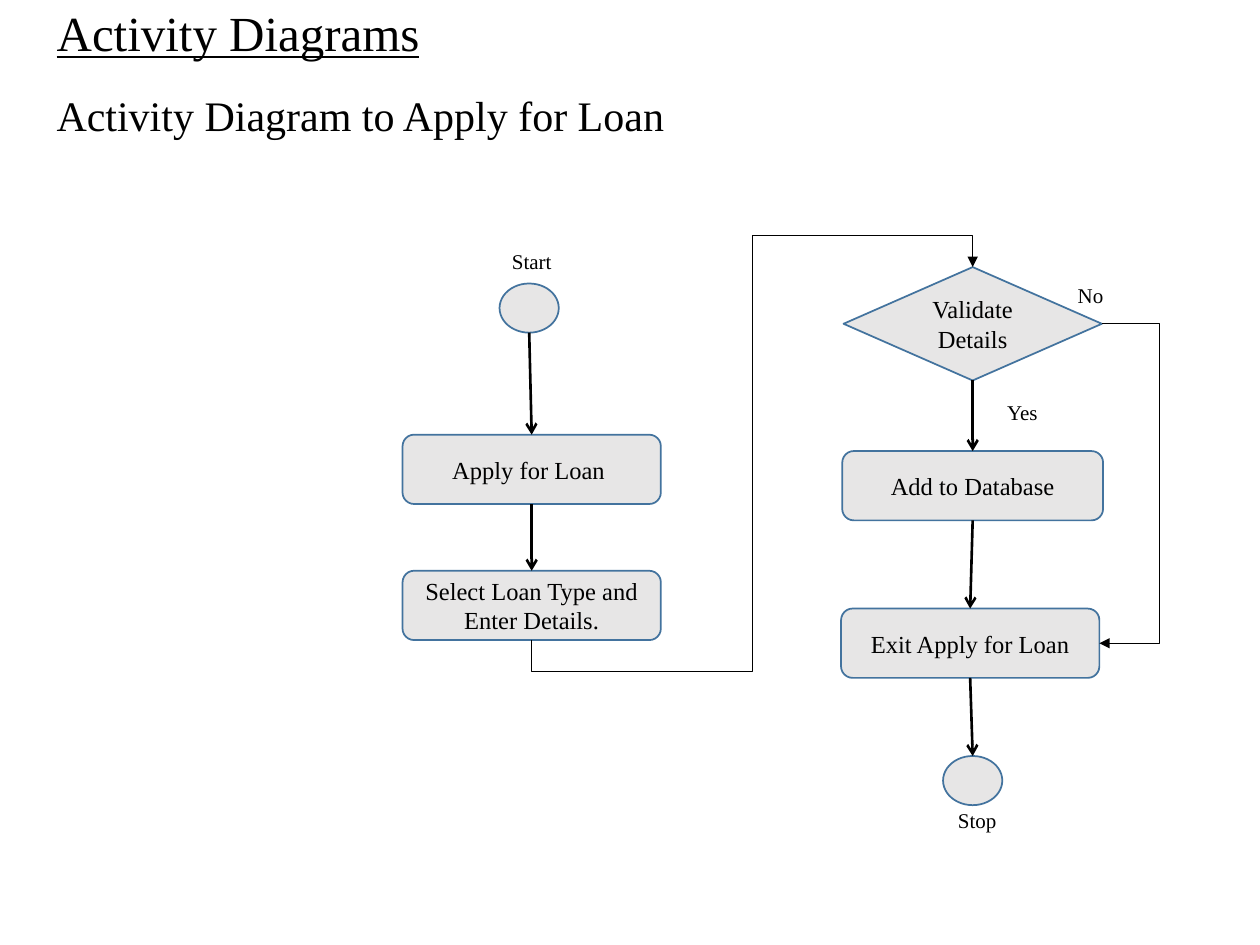
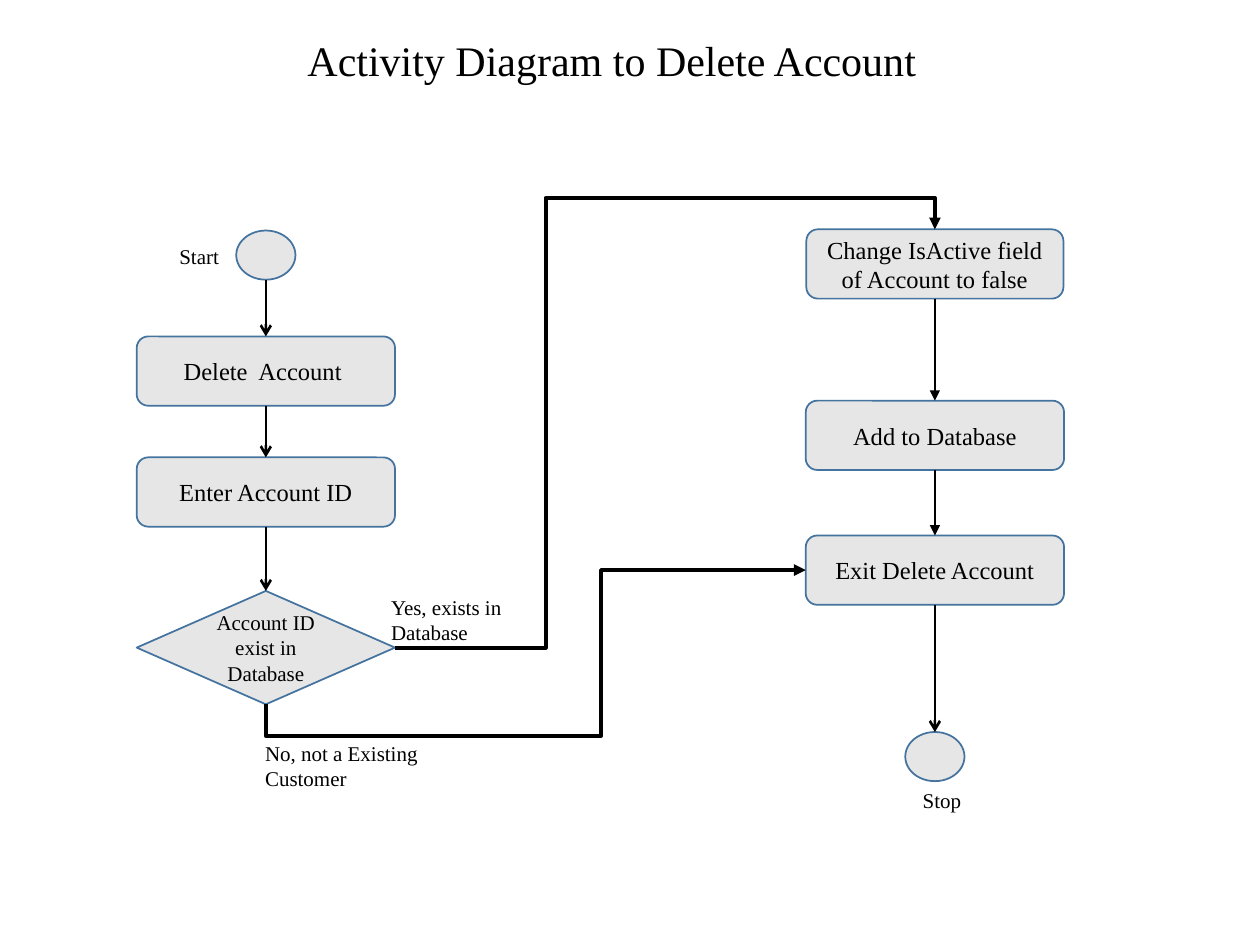
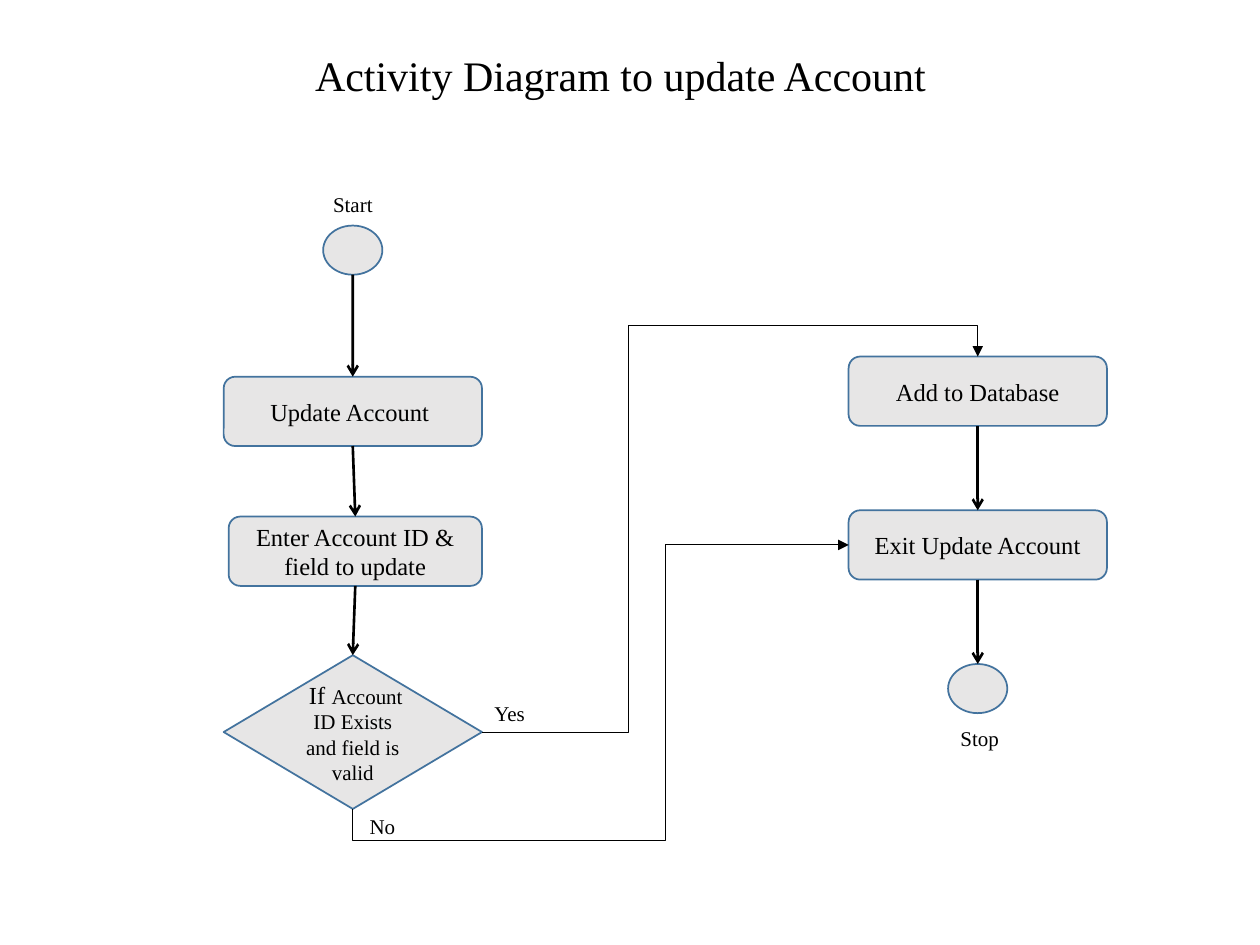
from dataclasses import dataclass

from lxml import etree
from pptx import Presentation
from pptx.dml.color import RGBColor
from pptx.enum.shapes import MSO_CONNECTOR, MSO_SHAPE
from pptx.enum.text import MSO_ANCHOR, MSO_AUTO_SIZE, PP_ALIGN
from pptx.oxml.ns import qn
from pptx.util import Inches, Pt

TERMINAL = MSO_SHAPE.FLOWCHART_CONNECTOR
PROCESS = MSO_SHAPE.FLOWCHART_ALTERNATE_PROCESS
DECISION = MSO_SHAPE.FLOWCHART_DECISION
STRAIGHT, ELBOW = MSO_CONNECTOR.STRAIGHT, MSO_CONNECTOR.ELBOW
LEFT, CENTER = PP_ALIGN.LEFT, PP_ALIGN.CENTER

COLORS = {"ink": "000000", "node": "E7E6E6", "outline": "43739E"}
FONT = "Times New Roman"
SIZES = {TERMINAL: (0.47, 0.39), PROCESS: (2.05, 0.55), DECISION: (2.05, 0.9)}
CLEARANCE = Inches(0.25)
TITLE_ONLY = 5


@dataclass
class Step:
    """One node of a column; drop is its distance below the column's top."""
    drop: float
    text: str = ""
    kind: int = PROCESS
    size: float = 14
    shift: float = 0
    width: float = 0
    height: float = 0
    head: str = "arrow"
    lead: str = ""


def color(name):
    """Return a palette colour."""
    return RGBColor.from_string(COLORS[name])


def style_font(font, size):
    """Apply the shared typeface and ink."""
    font.name, font.size = FONT, Pt(size)
    font.color.rgb = color("ink")


def write(frame, text, size, align=LEFT):
    """Write one paragraph in a wrapping frame and return it."""
    frame.word_wrap = True
    paragraph = frame.paragraphs[0]
    paragraph.text, paragraph.alignment = text, align
    style_font(paragraph.font, size)
    return paragraph


def text_box(slide, text, box, size):
    """Add a text box that grows with its text."""
    frame = slide.shapes.add_textbox(*map(Inches, box)).text_frame
    write(frame, text, size)
    frame.auto_size = MSO_AUTO_SIZE.SHAPE_TO_FIT_TEXT


def titled_slide(prs, text, box, size=24, underline=None):
    """Add a slide and place its title in the given box."""
    slide = prs.slides.add_slide(prs.slide_layouts[TITLE_ONLY])
    title = slide.shapes.title
    title.left, title.top, title.width, title.height = map(Inches, box)
    frame = title.text_frame
    write(frame, text, size).font.underline = underline
    frame.vertical_anchor = MSO_ANCHOR.TOP
    frame.auto_size = MSO_AUTO_SIZE.SHAPE_TO_FIT_TEXT
    return slide


def label(slide, text, node, dx, dy, width=1.42, height=0.3):
    """Place a caption at an offset from a node's top-left corner."""
    text_box(slide, text,
             (node.left.inches + dx, node.top.inches + dy, width, height), 12)


def add_node(slide, step, center, top):
    """Draw a step centred on a column's axis."""
    width, height = SIZES[step.kind]
    width, height = step.width or width, step.height or height
    node = slide.shapes.add_shape(
        step.kind, Inches(center + step.shift - width / 2),
        Inches(top + step.drop), Inches(width), Inches(height))
    node.shadow.inherit = False
    node.fill.solid()
    node.fill.fore_color.rgb = color("node")
    node.line.color.rgb = color("outline")
    node.line.width = Pt(1)
    if step.text:
        frame = node.text_frame
        frame.vertical_anchor = MSO_ANCHOR.MIDDLE
        paragraph = write(frame, step.lead or step.text, step.size, CENTER)
        if step.lead:
            style_font(paragraph.runs[0].font, 14)
            rest = paragraph.add_run()
            rest.text = step.text
            style_font(rest.font, step.size)
    return node


def top_of(node):
    """Return the middle of the top edge."""
    return node.left + node.width // 2, node.top


def bottom_of(node):
    """Return the middle of the bottom edge."""
    return node.left + node.width // 2, node.top + node.height


def left_of(node):
    """Return the middle of the left edge."""
    return node.left, node.top + node.height // 2


def right_of(node):
    """Return the middle of the right edge."""
    return node.left + node.width, node.top + node.height // 2


def connect(slide, kind, start, end, weight, head):
    """Draw a plain line with an arrowhead at its end."""
    flow = slide.shapes.add_connector(kind, *map(int, (*start, *end)))
    flow.line.color.rgb = color("ink")
    flow.line.width = Pt(weight)
    properties = flow.element.spPr
    etree.SubElement(properties.find(qn("a:ln")), qn("a:tailEnd"), type=head)
    etree.SubElement(properties, qn("a:effectLst"))
    return flow


def branch(slide, start, end, turns, weight=0.5, vertical=False):
    """Draw a bent arrow; turns are alternating x and y positions.

    A vertical branch leaves downwards: its frame is turned by 90 degrees.
    """
    (x0, y0), (x1, y1) = start, end
    dx, dy = x1 - x0, y1 - y0
    if vertical:
        cx, cy = (x0 + x1) / 2, (y0 + y1) / 2
        start = cx - dy / 2, cy + dx / 2
        end = cx + dy / 2, cy - dx / 2
    flow = connect(slide, ELBOW, start, end, weight, "triangle")
    properties = flow.element.spPr
    if vertical:
        properties.find(qn("a:xfrm")).set("rot", "5400000")
    geometry = properties.find(qn("a:prstGeom"))
    geometry.set("prst", f"bentConnector{len(turns) + 2}")
    guides = geometry.find(qn("a:avLst"))
    for i, turn in enumerate(turns):
        along_y = (i % 2 == 1) != vertical
        share = (turn - y0) / dy if along_y else (turn - x0) / dx
        etree.SubElement(guides, qn("a:gd"), name=f"adj{i + 1}",
                         fmla=f"val {round(share * 100000)}")


def flow_column(slide, center, top, steps):
    """Draw steps down one axis, join neighbours and return the nodes."""
    nodes = [add_node(slide, step, center, top) for step in steps]
    for step, above, below in zip(steps[1:], nodes, nodes[1:]):
        connect(slide, STRAIGHT, bottom_of(above), top_of(below), 1.5,
                step.head)
    return nodes


def apply_for_loan(prs):
    """Build the loan application diagram."""
    slide = titled_slide(prs, "Activity Diagrams", (0.35, -0.03, 6.46, 0.57),
                         28, True)
    text_box(slide, "Activity Diagram to Apply for Loan",
             (0.35, 0.66, 5.12, 0.5), 24)
    start, _, details = flow_column(slide, 4.22, 2.25, [
        Step(0, kind=TERMINAL, shift=-0.02),
        Step(1.2, "Apply for Loan "),
        Step(2.28, "Select Loan Type and Enter Details."),
    ])
    validate, _, leave, stop = flow_column(slide, 7.72, 2.12, [
        Step(0, "Validate Details", DECISION),
        Step(1.46, "Add to Database", width=2.07),
        Step(2.71, "Exit Apply for Loan", shift=-0.02),
        Step(3.88, kind=TERMINAL),
    ])
    label(slide, "Start", start, 0, -0.33, 1.1)
    label(slide, "Stop", stop, 0.02, 0.36, 1.1)
    label(slide, "No", validate, 1.76, 0.07)
    label(slide, "Yes", validate, 1.2, 1)
    branch(slide, bottom_of(details), top_of(validate),
           [bottom_of(details)[1] + CLEARANCE, Inches(5.97),
            validate.top - CLEARANCE], vertical=True)
    branch(slide, right_of(validate), right_of(leave), [Inches(9.2)])


def delete_account(prs):
    """Build the account deletion diagram."""
    slide = titled_slide(prs, "Activity Diagram to Delete Account",
                         (2.34, 0.22, 5.12, 0.5))
    start, _, _, exists = flow_column(slide, 2.11, 1.83, [
        Step(0, kind=TERMINAL),
        Step(0.84, "Delete  Account "),
        Step(1.8, "Enter Account ID"),
        Step(2.86, "Account ID exist in Database", DECISION, 12),
    ])
    change, _, leave, stop = flow_column(slide, 7.42, 1.82, [
        Step(0, "Change IsActive field of Account to false", width=2.04),
        Step(1.36, "Add to Database", head="triangle"),
        Step(2.43, "Exit Delete Account", head="triangle"),
        Step(3.99, kind=TERMINAL),
    ])
    label(slide, "Start", start, -0.55, 0.05, 1.1)
    label(slide, "Stop", stop, 0.04, 0.39, 1.1)
    label(slide, "Yes, exists in Database", exists, 1.92, -0.02, height=0.5)
    label(slide, "No, not a Existing Customer", exists, 0.92, 1.14, height=0.5)
    branch(slide, bottom_of(exists), left_of(leave),
           [bottom_of(exists)[1] + CLEARANCE, Inches(4.77)], 2.25, True)
    branch(slide, right_of(exists), top_of(change),
           [Inches(4.33), change.top - CLEARANCE], 2.25)


def update_account(prs):
    """Build the account update diagram."""
    slide = titled_slide(prs, "Activity Diagram to update Account",
                         (2.4, 0.34, 5.12, 0.5))
    start, _, _, valid = flow_column(slide, 2.8, 1.79, [
        Step(0, kind=TERMINAL),
        Step(1.2, "Update Account "),
        Step(2.31, "Enter Account ID & field to update", shift=0.02,
             width=2.01),
        Step(3.41, "Account ID Exists and field is valid", DECISION, 12,
             height=1.22, lead=" If "),
    ])
    database, leave, stop = flow_column(slide, 7.76, 2.83, [
        Step(0, "Add to Database"),
        Step(1.22, "Exit Update Account"),
        Step(2.44, kind=TERMINAL),
    ])
    label(slide, "Start", start, -0.02, -0.32, 1.1)
    label(slide, "Stop", stop, 0, 0.44, 1.07)
    label(slide, "Yes", valid, 2.05, 0.31)
    label(slide, "No", valid, 1.06, 1.21)
    branch(slide, right_of(valid), top_of(database),
           [Inches(4.99), database.top - CLEARANCE])
    branch(slide, bottom_of(valid), left_of(leave),
           [bottom_of(valid)[1] + CLEARANCE, Inches(5.28)], vertical=True)


prs = Presentation()
prs.slide_width, prs.slide_height = Inches(10), Inches(7.5)
for build in (apply_for_loan, delete_account, update_account):
    build(prs)
prs.save("out.pptx")
